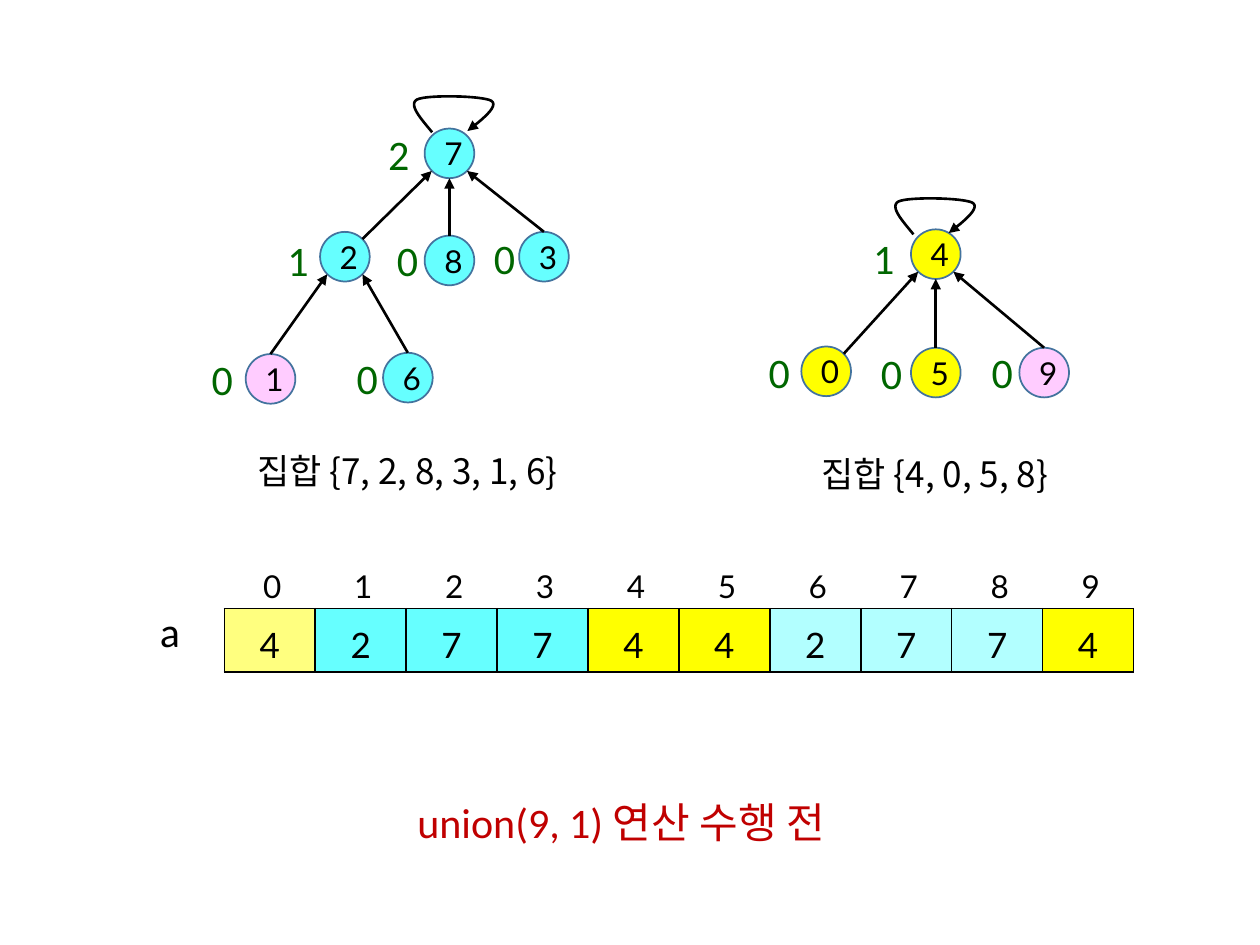
from lxml.etree import SubElement
from pptx import Presentation
from pptx.dml.color import RGBColor
from pptx.enum.shapes import MSO_CONNECTOR, MSO_SHAPE
from pptx.enum.text import MSO_ANCHOR, MSO_AUTO_SIZE, PP_ALIGN
from pptx.oxml.ns import qn
from pptx.util import Inches, Pt

COLORS = {
    "black": "000000", "outline": "43739E", "cyan": "66FFFF", "yellow": "FFFF00",
    "pink": "FFCCFF", "green": "006600", "red": "C00000",
}
COLS, ROWS = 100, 75
NODE = 3.94
NO_STYLE = "{2D5ABB26-0587-4C30-8999-92F81FD0307C}"
SITES = {"top": (0, -1), "bottom": (0, 1), "upper right": (0.71, -0.71),
         "lower left": (-0.71, 0.71), "lower right": (0.71, 0.71)}
NODES = {
    "1": (19.5, 28.1, "pink"), "8": (33.7, 18.7, "cyan"), "7": (33.7, 10.2, "cyan"),
    "2": (25.4, 18.4, "cyan"), "6": (30.4, 28, "cyan"), "3": (41.2, 18.4, "cyan"),
    "4": (72.3, 18.2, "yellow"), "0": (63.6, 27.5, "yellow"),
    "5": (72.3, 27.6, "yellow"), "9": (80.9, 27.6, "pink"),
}
EDGES = [
    ("6", "top", "2", "lower right"), ("1", "top", "2", "lower left"),
    ("2", "upper right", "7", "lower left"), ("8", "top", "7", "bottom"),
    ("3", "top", "7", "lower right"), ("0", "upper right", "4", "lower left"),
    ("5", "top", "4", "bottom"), ("9", "top", "4", "lower right"),
]
RANKS = [
    ("2", 29.3, 9.7), ("1", 67.8, 18), ("1", 21.3, 18.1), ("0", 68.4, 27.1),
    ("0", 59.5, 27), ("0", 26.8, 27.5), ("0", 15.3, 27.6), ("0", 30, 18.1),
    ("0", 37.7, 18), ("0", 77.2, 27),
]
LOOPS = [(32.9, 7.6), (71.1, 15.7)]
LOOP_CURVES = [
    [(1.4, 2.9), (0.5, 1.8), (-0.5, 0.7), (0.2, 0.3)],
    [(0.2, 0.3), (1, -0.1), (5.4, 0), (6.1, 0.4)],
    [(6.1, 0.4), (6.7, 0.8), (5.5, 1.8), (4.2, 2.8)],
]
PARENTS = [
    ("4", "yellow", 50), ("2", "cyan", 100), ("7", "cyan", 100), ("7", "cyan", 100),
    ("4", "yellow", 100), ("4", "yellow", 100), ("2", "cyan", 50), ("7", "cyan", 50),
    ("7", "cyan", 50), ("4", "yellow", 100),
]


def rgb(name):
    """Return the named colour."""
    return RGBColor.from_string(COLORS[name])


def grid(*cells):
    """Turn numbers of grid cells into lengths."""
    return [Inches(10 * n / COLS) for n in cells]


def style(p, size, font, color="black", align=PP_ALIGN.CENTER):
    """Set the font and alignment of a paragraph."""
    p.alignment = align
    p.font.size, p.font.name = Pt(size), font
    p.font.color.rgb = rgb(color)


def add_text(s, text, box, size, font="Calibri", color="black", align=PP_ALIGN.CENTER):
    """Add a wrapped text box with one paragraph."""
    tf = s.shapes.add_textbox(*grid(*box)).text_frame
    tf.word_wrap, tf.auto_size = True, MSO_AUTO_SIZE.SHAPE_TO_FIT_TEXT
    p = tf.paragraphs[0]
    r = p.add_run()
    r.text = text
    style(p, size, font, color, align)
    SubElement(r._r.get_or_add_rPr(), qn("a:ea"), typeface="Noto Sans CJK KR")


def add_node(s, text, x, y, color):
    """Add a round tree node."""
    sp = s.shapes.add_shape(MSO_SHAPE.OVAL, *grid(x, y, NODE, NODE))
    sp.shadow.inherit = False
    sp.fill.solid()
    sp.fill.fore_color.rgb = rgb(color)
    sp.line.color.rgb, sp.line.width = rgb("outline"), Pt(1)
    tf = sp.text_frame
    tf.text, tf.vertical_anchor = text, MSO_ANCHOR.MIDDLE
    style(tf.paragraphs[0], 18, "Lato")


def format_arrow(sp):
    """Give a line its colour, width and arrowhead."""
    sp.line.color.rgb, sp.line.width = rgb("black"), Pt(1.5)
    SubElement(sp.line._get_or_add_ln(), qn("a:tailEnd"), type="triangle")


def site(node, name):
    """Return a connection point on the rim of a node."""
    x, y, _ = NODES[node]
    dx, dy = SITES[name]
    return x + NODE / 2 * (1 + dx), y + NODE / 2 * (1 + dy)


def add_edge(s, child, start, parent, end):
    """Add an arrow from a child to its parent."""
    points = grid(*site(child, start), *site(parent, end))
    cxn = s.shapes.add_connector(MSO_CONNECTOR.STRAIGHT, *points)
    format_arrow(cxn)
    SubElement(cxn._element.spPr, qn("a:effectLst"))


def bezier(curve, t):
    """Return the point of a cubic curve at t."""
    weights = ((1 - t) ** 3, 3 * t * (1 - t) ** 2, 3 * t ** 2 * (1 - t), t ** 3)
    return [sum(w * c for w, c in zip(weights, axis)) for axis in zip(*curve)]


def add_loop(s, x, y, steps=16):
    """Add the arrow from a root to itself."""
    points = [bezier(curve, i / steps) for curve in LOOP_CURVES for i in range(1, steps + 1)]
    points = [grid(x + dx, y + dy) for dx, dy in [LOOP_CURVES[0][0]] + points]
    builder = s.shapes.build_freeform(*points[0])
    builder.add_line_segments(points[1:], close=False)
    sp = builder.convert_to_shape()
    sp.shadow.inherit = False
    sp.fill.background()
    format_arrow(sp)


def add_borders(cell):
    """Draw a thin black border around a cell."""
    tcPr = cell._tc.get_or_add_tcPr()
    for side in ("lnL", "lnR", "lnT", "lnB"):
        ln = SubElement(tcPr, qn(f"a:{side}"), w=str(Pt(1)))
        fill = SubElement(ln, qn("a:solidFill"))
        SubElement(fill, qn("a:srgbClr"), val=COLORS["black"])


def fill_cell(cell, color, alpha):
    """Fill a cell with a colour of the given opacity."""
    cell.fill.solid()
    cell.fill.fore_color.rgb = rgb(color)
    if alpha < 100:
        clr = next(cell._tc.tcPr.find(qn("a:solidFill")).iter(qn("a:srgbClr")))
        SubElement(clr, qn("a:alpha"), val=str(alpha * 1000))


def add_row(s, texts, box, size, anchor):
    """Add a plain table of one row and return its cells."""
    frame = s.shapes.add_table(1, len(texts), *grid(*box))
    table = frame.table
    table.first_row = table.horz_banding = False
    next(frame._element.iter(qn("a:tableStyleId"))).text = NO_STYLE
    cells = list(table.iter_cells())
    for cell, text in zip(cells, texts):
        cell.text, cell.vertical_anchor = text, anchor
        p = cell.text_frame.paragraphs[0]
        p.line_spacing = 1.2
        style(p, size, "Lato")
    return cells


def main():
    """Build the slide."""
    prs = Presentation()
    prs.slide_width, prs.slide_height = grid(COLS, ROWS)
    s = prs.slides.add_slide(prs.slide_layouts[6])

    values = [value for value, _, _ in PARENTS]
    cells = add_row(s, values, (17.8, 48.3, 72.2, 4.7), 20, MSO_ANCHOR.MIDDLE)
    for cell, (_, color, alpha) in zip(cells, PARENTS):
        add_borders(cell)
        fill_cell(cell, color, alpha)
    add_text(s, "a", (11.7, 47.6, 4.7, 5), 24, align=PP_ALIGN.LEFT)
    indices = [str(i) for i in range(len(PARENTS))]
    for cell in add_row(s, indices, (18, 43.9, 72.2, 4.3), 18, MSO_ANCHOR.TOP):
        cell.fill.background()

    add_text(s, "집합 {7, 2, 8, 3, 1, 6}", (15, 35.2, 34.7, 4.4), 20, "Noto Sans CJK KR")
    add_text(s, "집합 {4, 0, 5, 8}", (62.1, 35.4, 24.2, 4.4), 20, "Noto Sans CJK KR")
    for text, node in NODES.items():
        add_node(s, text, *node)
    for edge in EDGES:
        add_edge(s, *edge)
    for loop in LOOPS:
        add_loop(s, *loop)
    for rank, x, y in RANKS:
        add_text(s, rank, (x, y, 4.7, 5), 24, color="green")
    add_text(s, "union(9, 1) 연산 수행 전", (30.3, 62.7, 38, 5), 24, color="red")
    prs.save("out.pptx")


if __name__ == "__main__":
    main()
